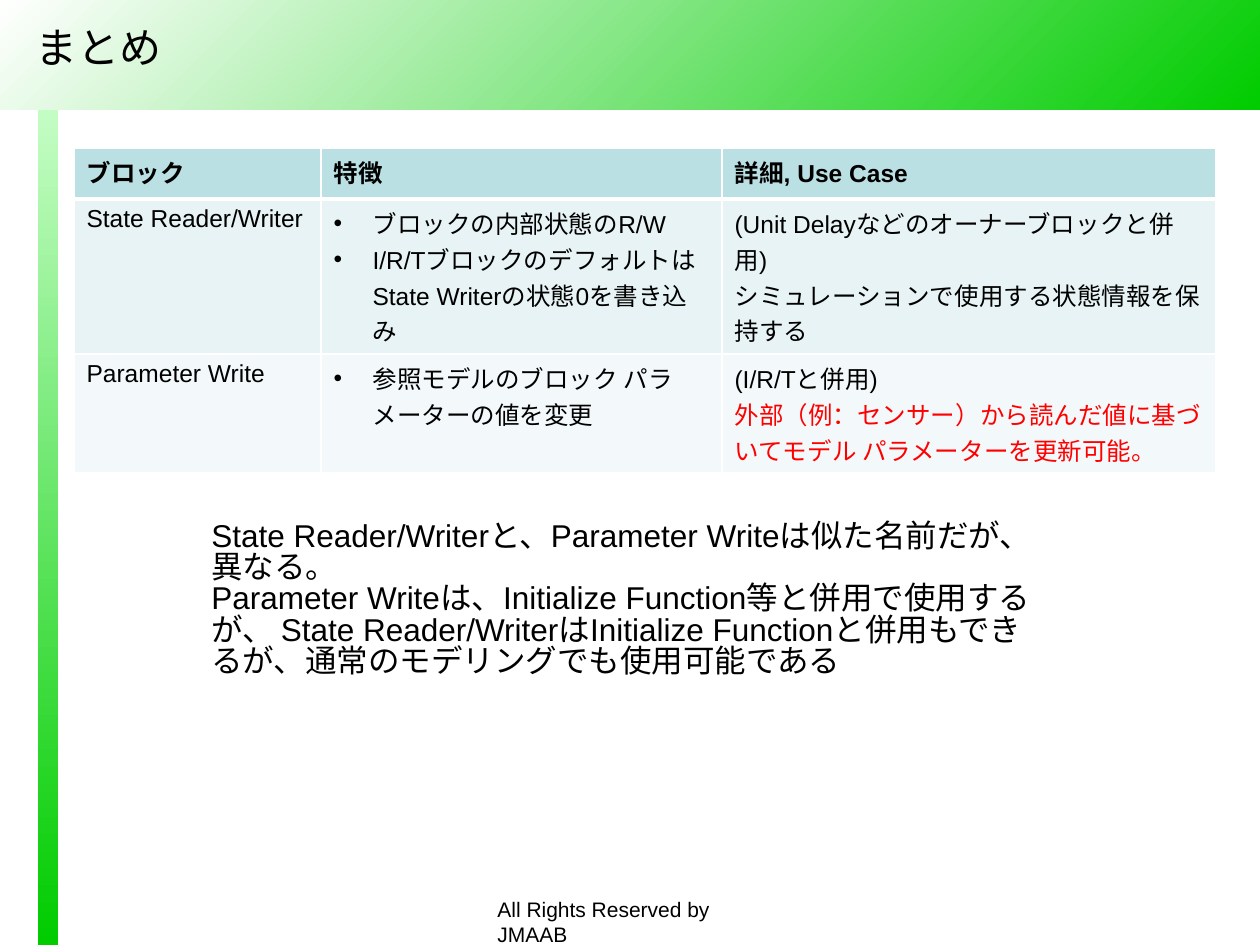
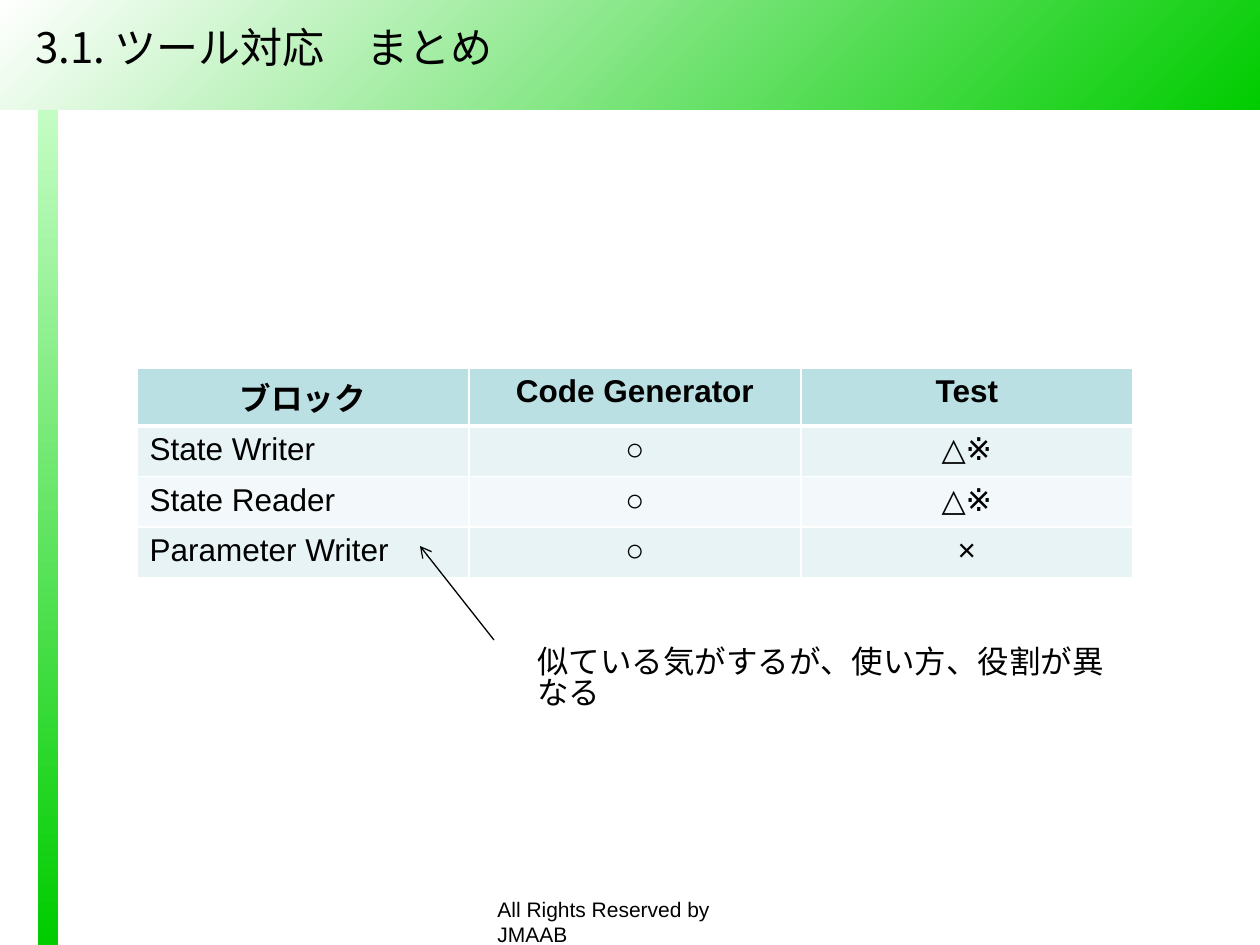
from dataclasses import dataclass

from lxml.etree import SubElement
from pptx import Presentation
from pptx.dml.color import RGBColor
from pptx.enum.shapes import MSO_CONNECTOR, MSO_SHAPE
from pptx.enum.text import MSO_ANCHOR, PP_ALIGN
from pptx.oxml.ns import qn
from pptx.util import Emu, Pt

# Shared style
EMU_PER_PX = 914400 / 126
LATIN, JAPANESE = "Arial", "Noto Sans CJK JP"
BLACK, WHITE, RED, GREEN, MINT = "000000", "FFFFFF", "FF0000", "00CC00", "CCFFCC"
HEADER_FILL = "BBE0E3"
ROW_FILLS = ("E7F3F4", "F3F9FA")
HANGING = 39
BOX_SPACING = 0.83


def px(length):
    return Emu(round(length * EMU_PER_PX))


def rgb(hex_colour):
    return RGBColor.from_string(hex_colour)


@dataclass
class Para:
    text: str
    colour: str = BLACK
    bullet: bool = False


class Deck:
    """Holds the style and the current slide."""

    def __init__(self):
        self.prs = Presentation()
        self.prs.slide_width, self.prs.slide_height = px(1260), px(945)
        self.slide = None

    def new_slide(self, title):
        self.slide = self.prs.slides.add_slide(self.prs.slide_layouts[6])
        self.band((38, 76, 20, 869), MINT, GREEN, 90)
        self.band((0, 0, 1260, 110), WHITE, GREEN, 45)
        self.textbox((485, 890, 308, 38), ["All Rights Reserved by JMAAB"], 12, spacing=1.0)
        self.textbox((23, 18, 864, 58), [title], 24, font=JAPANESE,
                     anchor=MSO_ANCHOR.MIDDLE, spacing=1.0)

    def band(self, box, start, end, clockwise):
        band = self.slide.shapes.add_shape(MSO_SHAPE.RECTANGLE, *map(px, box))
        band.shadow.inherit = False
        band.line.fill.background()
        band.fill.gradient()
        band.fill.gradient_angle = 360 - clockwise
        for stop, position, colour in zip(band.fill.gradient_stops, (0, 1), (start, end)):
            stop.position = position
            stop.color.rgb = rgb(colour)

    def add_paras(self, frame, paras, size, font=LATIN, bold=False, align=PP_ALIGN.LEFT,
                  spacing=None):
        for index, para in enumerate(paras):
            if isinstance(para, str):
                para = Para(para)
            paragraph = frame.add_paragraph() if index else frame.paragraphs[0]
            paragraph.alignment = align
            if spacing:
                paragraph.line_spacing = spacing
            if para.bullet:
                props = paragraph._p.get_or_add_pPr()
                props.set("marL", str(px(HANGING)))
                props.set("indent", str(-px(HANGING)))
                SubElement(props, qn("a:buFont"), typeface=LATIN)
                SubElement(props, qn("a:buChar"), char="•")
            run = paragraph.add_run()
            run.text = para.text
            run.font.name, run.font.size, run.font.bold = font, Pt(size), bold
            run.font.color.rgb = rgb(para.colour)
            # Kana and kanji need an East Asian typeface
            if any(char >= "ぁ" for char in para.text):
                SubElement(run._r.get_or_add_rPr(), qn("a:ea"), typeface=JAPANESE)

    def textbox(self, box, paras, size, font=LATIN, anchor=MSO_ANCHOR.TOP, spacing=BOX_SPACING):
        frame = self.slide.shapes.add_textbox(*map(px, box)).text_frame
        frame.word_wrap = True
        frame.vertical_anchor = anchor
        self.add_paras(frame, paras, size, font, spacing=spacing)

    def cell_borders(self, cell, row):
        props = cell._tc.get_or_add_tcPr()
        widths = {"L": 1, "R": 1, "T": 3 if row == 1 else 1, "B": 3 if row == 0 else 1}
        for side, width in widths.items():
            line = SubElement(props, qn(f"a:ln{side}"), w=str(Pt(width)))
            SubElement(SubElement(line, qn("a:solidFill")), qn("a:srgbClr"), val=WHITE)

    def table(self, left, top, widths, heights, rows, size, header_align, body_aligns):
        box = (left, top, sum(widths), sum(heights))
        table = self.slide.shapes.add_table(len(rows), len(widths), *map(px, box)).table
        table.first_row = table.horz_banding = False
        for column, width in zip(table.columns, widths):
            column.width = px(width)
        for r, (row, height) in enumerate(zip(rows, heights)):
            table.rows[r].height = px(height)
            for c, content in enumerate(row):
                cell = table.cell(r, c)
                self.cell_borders(cell, r)
                cell.fill.solid()
                cell.fill.fore_color.rgb = rgb(ROW_FILLS[(r - 1) % 2] if r else HEADER_FILL)
                paras = content if isinstance(content, list) else [content]
                self.add_paras(cell.text_frame, paras, size, bold=r == 0,
                               align=body_aligns[c] if r else header_align)

    def arrow(self, start, end):
        arrow = self.slide.shapes.add_connector(MSO_CONNECTOR.STRAIGHT, *map(px, start + end))
        arrow.line.color.rgb = rgb(BLACK)
        arrow.line.width = Pt(0.75)
        properties = arrow._element.spPr
        SubElement(properties.find(qn("a:ln")), qn("a:tailEnd"), type="arrow")
        SubElement(properties, qn("a:effectLst"))


def block_summary(deck):
    deck.new_slide("まとめ")
    # Features and use cases
    rows = [
        ["ブロック", "特徴", "詳細, Use Case"],
        ["State Reader/Writer",
         [Para("ブロックの内部状態のR/W", bullet=True),
          Para("I/R/TブロックのデフォルトはState Writerの状態0を書き込み", bullet=True)],
         ["(Unit Delayなどのオーナーブロックと併用)",
          "シミュレーションで使用する状態情報を保持する"]],
        ["Parameter Write",
         Para("参照モデルのブロック パラメーターの値を変更", bullet=True),
         ["(I/R/Tと併用)",
          Para("外部（例：センサー）から読んだ値に基づいてモデル パラメーターを更新可能。", RED)]],
    ]
    deck.table(74, 148, (247, 401, 494), (51, 155, 119), rows, 14,
               PP_ALIGN.LEFT, [PP_ALIGN.LEFT] * 3)
    # Conclusion
    deck.textbox((199, 516, 850, 280), [
        "State Reader/Writerと、Parameter Writeは似た名前だが、異なる。",
        "Parameter Writeは、Initialize Function等と併用で使用するが、 State Reader/Writerは"
        "Initialize Functionと併用もできるが、通常のモデリングでも使用可能である",
    ], 18)


def tool_support(deck):
    deck.new_slide("3.1. ツール対応　まとめ")
    # Support by tool
    rows = [
        ["ブロック", "Code Generator", "Test"],
        ["State Writer", "○", "△※"],
        ["State Reader", "○", "△※"],
        ["Parameter Writer", "○", "×"],
    ]
    deck.table(137, 368, (332,) * 3, (58, 49, 49, 49), rows, 18,
               PP_ALIGN.CENTER, (PP_ALIGN.LEFT, PP_ALIGN.CENTER, PP_ALIGN.CENTER))
    # Remark on the last block
    deck.arrow((494, 640), (420, 546))
    deck.textbox((525, 642, 616, 50), ["似ている気がするが、使い方、役割が異なる"], 18)


def main():
    deck = Deck()
    block_summary(deck)
    tool_support(deck)
    deck.prs.save("out.pptx")


if __name__ == "__main__":
    main()
